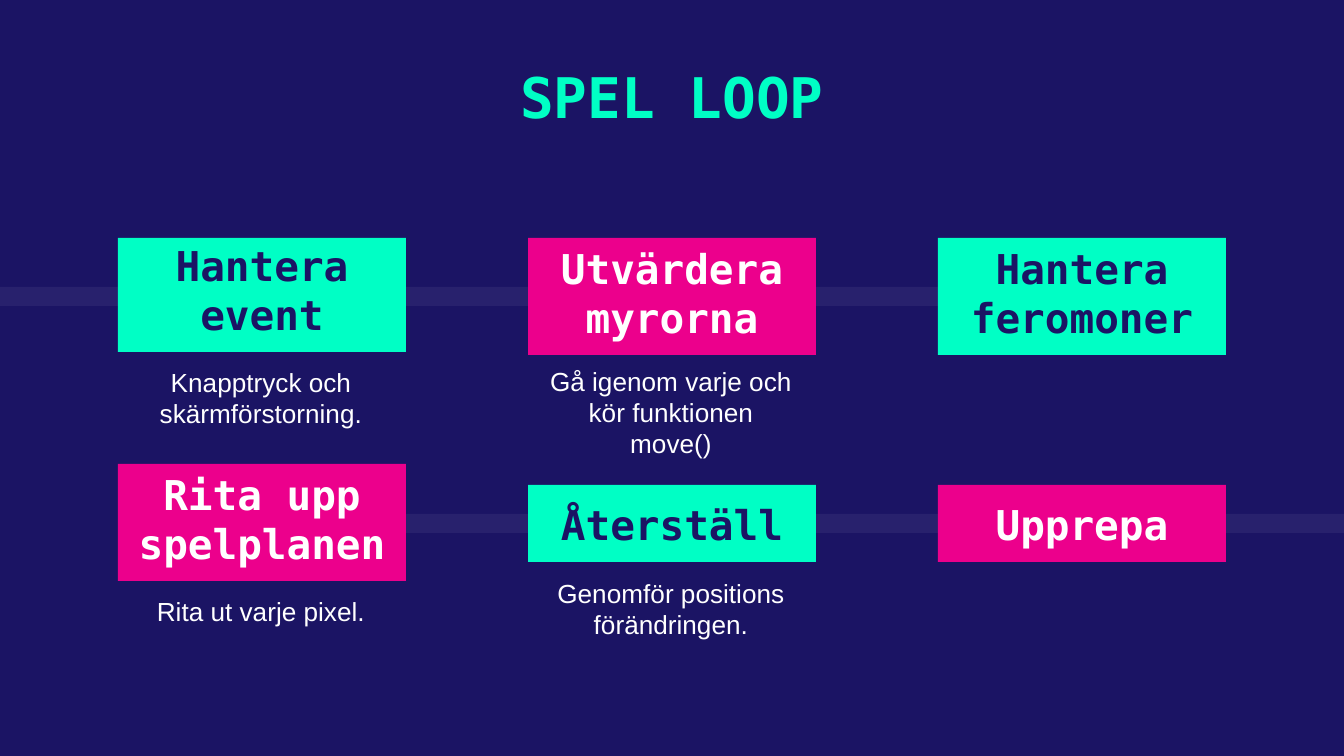
from lxml.etree import SubElement
from pptx import Presentation
from pptx.dml.color import RGBColor
from pptx.enum.shapes import MSO_SHAPE as Shape
from pptx.enum.text import MSO_ANCHOR as Anchor, MSO_AUTO_SIZE as AutoSize, PP_ALIGN as Align
from pptx.oxml.ns import qn
from pptx.util import Pt

EMU_PER_PX = 914400 / 134.4
COLORS = {"navy": "1B1464", "mint": "00FFC5", "pink": "EC008C", "white": "FFFFFF"}
HEADING_FONT = "DejaVu Sans Mono"
BODY_FONT = "Arial"


def px(*lengths):
    return [round(length * EMU_PER_PX) for length in lengths]


def write(shape, text, font_name, size, color, bold, anchor):
    frame = shape.text_frame
    frame.text = text
    frame.word_wrap = True
    frame.auto_size = AutoSize.NONE
    frame.vertical_anchor = anchor
    frame.margin_left, frame.margin_top, frame.margin_right, frame.margin_bottom = px(13, 13, 13, 13)
    paragraph = frame.paragraphs[0]
    paragraph.alignment = Align.CENTER
    font = paragraph.runs[0].font
    font.name, font.size, font.bold = font_name, Pt(size), bold
    font.color.rgb = RGBColor.from_string(COLORS[color])


presentation = Presentation()
presentation.slide_width, presentation.slide_height = px(1344, 756)
slide = presentation.slides.add_slide(presentation.slide_layouts[5])
slide.background.fill.solid()
slide.background.fill.fore_color.rgb = RGBColor.from_string(COLORS["navy"])

title = slide.shapes.title
title.left, title.top, title.width, title.height = px(188, 50, 968, 98)
write(title, "SPEL LOOP", HEADING_FONT, 30, "mint", True, Anchor.TOP)

for left, top, width in [(0, 287, 1145), (137, 514, 1207)]:
    band = slide.shapes.add_shape(Shape.RECTANGLE, *px(left, top, width, 19))
    band.shadow.inherit = False
    band.line.fill.background()
    band.fill.solid()
    band.fill.fore_color.rgb = RGBColor.from_string(COLORS["white"])
    color_element = band.fill._xPr.find(qn("a:solidFill"))[0]
    SubElement(color_element, qn("a:alpha"), val="6000")

STEPS = [
    ("Hantera event", 0, 238, 114, "mint", "Knapptryck och skärmförstorning.", 353),
    ("Utvärdera myrorna", 1, 238, 117, "pink", "Gå igenom varje och kör funktionen move()", 352),
    ("Hantera feromoner", 2, 238, 117, "mint", None, None),
    ("Rita upp spelplanen", 0, 464, 117, "pink", "Rita ut varje pixel.", 582),
    ("Återställ", 1, 485, 77, "mint", "Genomför positions förändringen.", 564),
    ("Upprepa", 2, 485, 77, "pink", None, None),
]

for heading, column, top, height, fill, description, description_top in STEPS:
    left = 118 + 410 * column
    if description:
        caption = slide.shapes.add_textbox(*px(left + 4, description_top, 278, 98))
        write(caption, description, BODY_FONT, 14, "white", False, Anchor.TOP)
    box = slide.shapes.add_shape(Shape.RECTANGLE, *px(left, top, 288, height))
    box.shadow.inherit = False
    box.line.fill.background()
    box.fill.solid()
    box.fill.fore_color.rgb = RGBColor.from_string(COLORS[fill])
    text_color = "navy" if fill == "mint" else "white"
    write(box, heading, HEADING_FONT, 22, text_color, True, Anchor.BOTTOM)

presentation.save("out.pptx")
